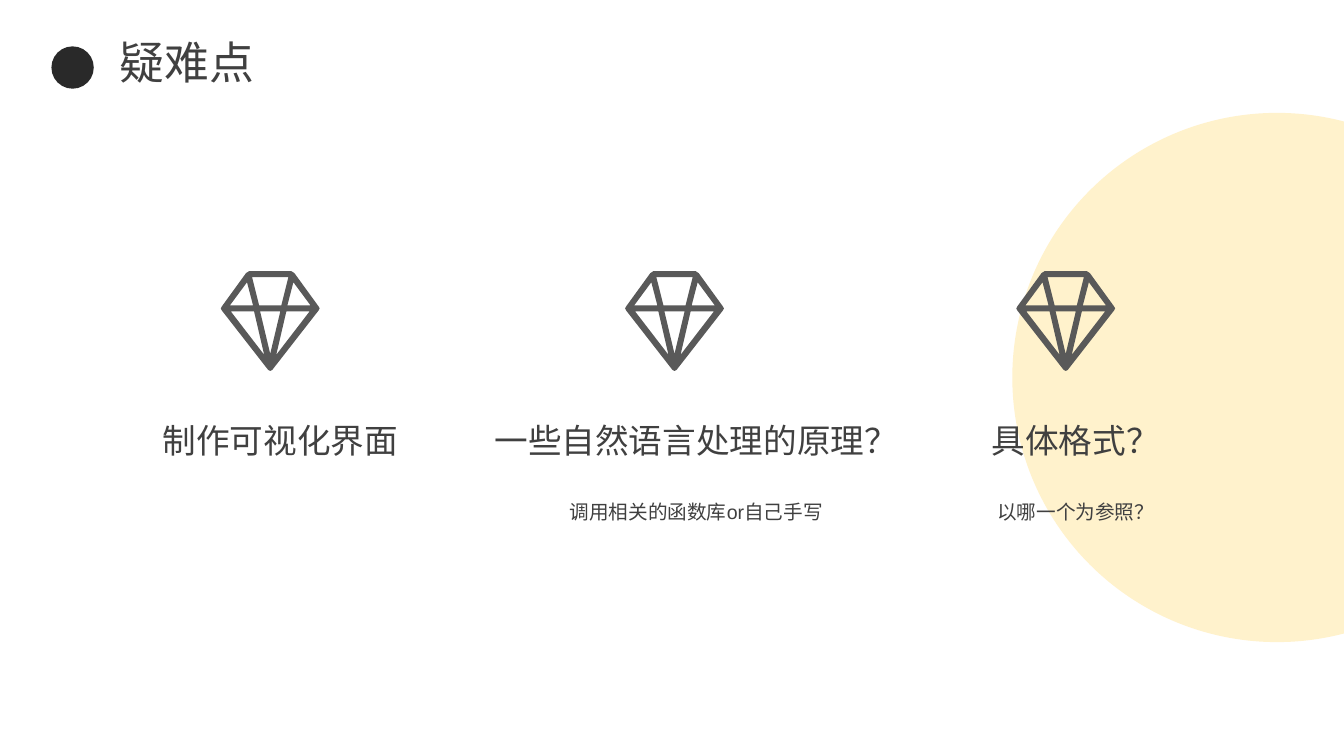
from pptx import Presentation
from pptx.dml.color import RGBColor
from pptx.enum import shapes, text
from pptx.util import Inches, Pt

DARK = RGBColor(0x29, 0x29, 0x29)
CREAM = RGBColor(0xFF, 0xF2, 0xCC)
TEXT = RGBColor(0x40, 0x40, 0x40)
ICON = RGBColor(0x59, 0x59, 0x59)

TITLE = "疑难点"
DIFFICULTIES = [
    {"lines": ["制作可视化界面"], "left": 1.36, "width": 2.84, "icon": 2.19},
    {"lines": ["一些自然语言处理的原理？", "调用相关的函数库or自己手写"],
     "left": 4.78, "width": 4.25, "icon": 6.2},
    {"lines": ["具体格式？", "以哪一个为参照？"], "left": 9.25, "width": 2.84, "icon": 10.08},
]
ICON_TOP, ICON_WIDTH, TEXT_TOP = 2.69, 0.98, 4.12

LEFT_EDGE = [(0.28, 0), (0.25, 0.02), (0.01, 0.35), (0, 0.37), (0.01, 0.39),
             (0.47, 0.98), (0.49, 0.99)]
CENTRE_FACETS = [
    [(0.67, 0.06), (0.6, 0.34), (0.38, 0.34), (0.31, 0.06)],
    [(0.49, 0.82), (0.39, 0.4), (0.59, 0.4)],
]
LEFT_FACETS = [
    [(0.26, 0.11), (0.32, 0.34), (0.09, 0.34)],
    [(0.1, 0.4), (0.33, 0.4), (0.43, 0.83)],
]


def mirror(points):
    return [(ICON_WIDTH - x, y) for x, y in points]


DIAMOND = [LEFT_EDGE + mirror(LEFT_EDGE)[-2::-1], *CENTRE_FACETS,
           *LEFT_FACETS, *map(mirror, LEFT_FACETS)]


def paint(shape, color):
    shape.shadow.inherit = False
    shape.fill.solid()
    shape.fill.fore_color.rgb = color
    shape.line.fill.background()


def add_circle(left, top, size, color):
    circle = page.shapes.add_shape(shapes.MSO_SHAPE.OVAL, Inches(left), Inches(top),
                                   Inches(size), Inches(size))
    paint(circle, color)


def add_diamond(left, top):
    contours = [[(Inches(left + x), Inches(top + y)) for x, y in points]
                for points in DIAMOND]
    builder = page.shapes.build_freeform(*contours[0][0])
    builder.add_line_segments(contours[0][1:])
    for contour in contours[1:]:
        builder.move_to(*contour[0])
        builder.add_line_segments(contour[1:])
    paint(builder.convert_to_shape(), ICON)


def add_text(lines, left, top, width, height, sizes, wrap=True, gap=0,
             align=text.PP_ALIGN.CENTER):
    box = page.shapes.add_textbox(Inches(left), Inches(top), Inches(width), Inches(height))
    frame = box.text_frame
    frame.word_wrap = wrap
    for index, (line, size) in enumerate(zip(lines, sizes)):
        para = frame.paragraphs[0] if index == 0 else frame.add_paragraph()
        para.alignment = align
        para.space_before = Pt(gap if index else 0)
        span = para.add_run()
        span.text = line
        span.font.name = "Arial"
        span.font.size = Pt(size)
        span.font.color.rgb = TEXT


deck = Presentation()
deck.slide_width, deck.slide_height = Inches(13.33), Inches(7.5)
page = deck.slides.add_slide(deck.slide_layouts[6])

add_circle(0.51, 0.46, 0.42, DARK)
add_text([TITLE], 1.09, 0.3, 1.55, 0.64, [32], wrap=False, align=text.PP_ALIGN.LEFT)
add_circle(10.04, 1.12, 5.25, CREAM)
for item in DIFFICULTIES:
    add_text(item["lines"], item["left"], TEXT_TOP, item["width"],
             0.5 if len(item["lines"]) == 1 else 1.14, [24, 14], gap=28)
    add_diamond(item["icon"], ICON_TOP)

deck.save("out.pptx")
